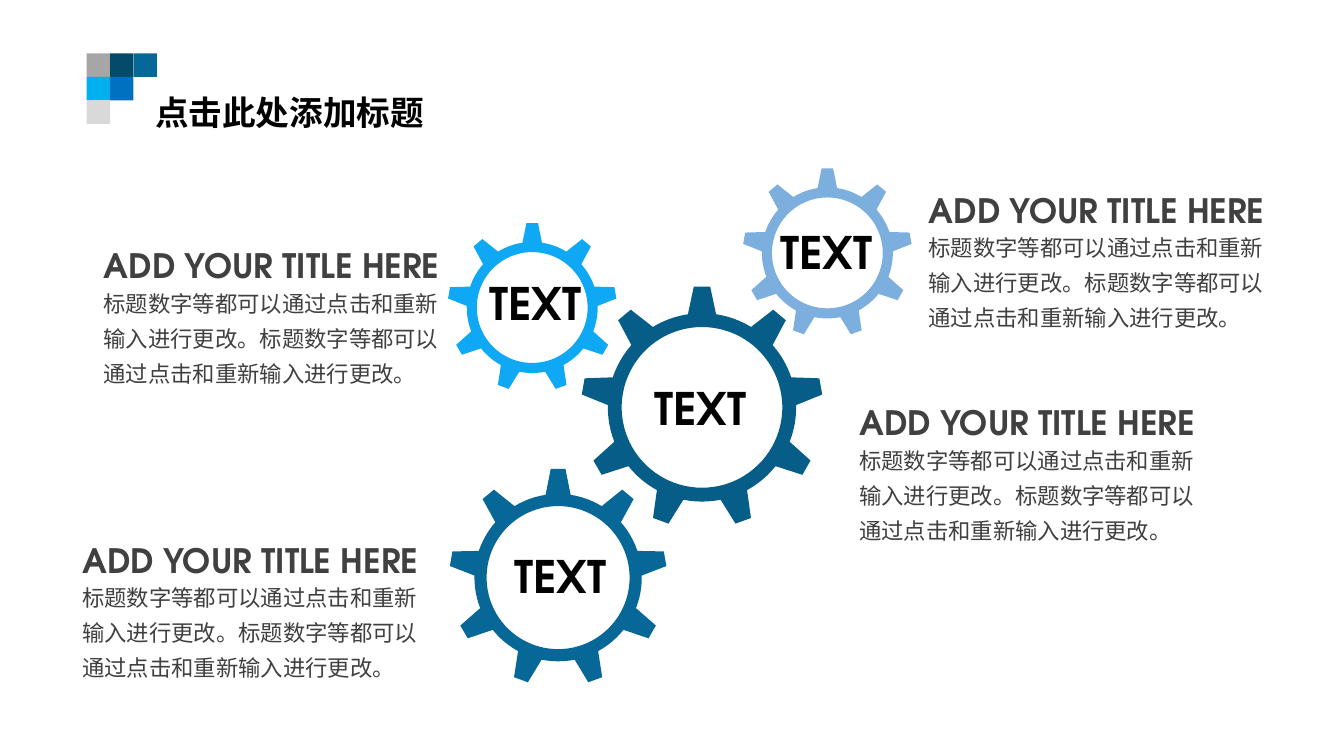
import math
from pptx import Presentation
from pptx import util as u
from pptx.dml.color import RGBColor
from pptx.enum import shapes, text
from pptx.oxml.ns import qn
from lxml import etree

CHINESE, LATIN = "Noto Sans CJK SC", "TeX Gyre Adventor"
TITLE = "点击此处添加标题"
HEADING = "ADD YOUR TITLE HERE"
SENTENCES = "标题数字等都可以通过点击和重新输入进行更改。" * 2
LABEL = "TEXT"
TILES = [("A6A6A6", "05496B", "076797"), ("00B0F0", "0070C0"), ("D9D9D9",)]
TILE_LEFT, TILE_TOP, TILE = 61.9, 38.2, 16.75
GEARS = [
    {"center": (591.3, 180.7), "radii": (60.5, 46.8, 39.6), "color": "7CAFDE", "label": (550.8, 157)},
    {"center": (501.7, 291), "radii": (86.4, 67.3, 57.4), "color": "065D88", "label": (460.8, 268.6)},
    {"center": (380.4, 219.7), "radii": (60.5, 46.8, 39.6), "color": "0FA8F5", "label": (342.7, 193.7)},
    {"center": (398.9, 412.6), "radii": (77.8, 59.8, 51.1), "color": "076797", "label": (360.7, 388.1)},
]
TEETH, TIP_ANGLE, ROOT_ANGLE = 9, 3.9, 8.6
CAPTIONS = [(656.6, 131.8), (607, 283.7), (51.8, 381.8), (67, 171.6)]
CAPTION_GAP = 26.2


def rgb(color):
    """Turn a hex string into a colour."""
    return RGBColor.from_string(color)


def paint(shape, color):
    """Give a shape a flat fill with no line or shadow."""
    shape.fill.solid()
    shape.fill.fore_color.rgb = rgb(color)
    shape.line.fill.background()
    shape.shadow.inherit = False


def write(shape, words, font, size, color, bold=True, wrap=False, spacing=1.0):
    """Fill a shape with one formatted, left-aligned paragraph."""
    frame = shape.text_frame
    frame.text = words
    frame.word_wrap = wrap
    frame.auto_size = text.MSO_AUTO_SIZE.NONE
    frame.vertical_anchor = text.MSO_ANCHOR.TOP
    paragraph = frame.paragraphs[0]
    paragraph.alignment = text.PP_ALIGN.LEFT
    paragraph.line_spacing = spacing
    run = paragraph.runs[0]
    run.font.name = font
    run.font.size = u.Pt(size)
    run.font.bold = bold
    run.font.color.rgb = rgb(color)
    east_asian = etree.SubElement(run.font._element, qn("a:ea"))
    east_asian.set("typeface", font)


def add_text(left, top, width, height, *style, **options):
    """Add a text box and write into it."""
    box = slide.shapes.add_textbox(u.Pt(left), u.Pt(top), u.Pt(width), u.Pt(height))
    write(box, *style, **options)


def polar(center, radius, degrees):
    """Find a point by its clockwise angle from twelve o'clock."""
    angle = math.radians(degrees)
    return (u.Pt(center[0] + radius * math.sin(angle)),
            u.Pt(center[1] - radius * math.cos(angle)))


def add_gear(center, radii, color):
    """Draw a toothed ring around a centre."""
    tip, body, hole = radii
    pitch = 360 / TEETH
    valley = pitch - 2 * ROOT_ANGLE
    outline = []
    for tooth in range(TEETH):
        middle = tooth * pitch
        outline += [polar(center, tip, middle - TIP_ANGLE), polar(center, tip, middle + TIP_ANGLE)]
        outline += [polar(center, body, middle + ROOT_ANGLE + valley * step / 6) for step in range(7)]
    ring = [polar(center, hole, -4 * step) for step in range(90)]
    builder = slide.shapes.build_freeform(*outline[0])
    builder.add_line_segments(outline[1:], close=True)
    builder.move_to(*ring[0])
    builder.add_line_segments(ring[1:], close=True)
    paint(builder.convert_to_shape(), color)


presentation = Presentation()
presentation.slide_width, presentation.slide_height = u.Pt(960.5), u.Pt(540)
slide = presentation.slides.add_slide(presentation.slide_layouts[5])

for row, colors in enumerate(TILES):
    for column, color in enumerate(colors):
        tile = slide.shapes.add_shape(
            shapes.MSO_SHAPE.RECTANGLE, u.Pt(TILE_LEFT + column * TILE),
            u.Pt(TILE_TOP + row * TILE), u.Pt(TILE), u.Pt(TILE))
        paint(tile, color)

title = slide.shapes.title
title.left, title.top, title.width, title.height = map(u.Pt, (103.7, 61.9, 224.6, 36))
write(title, TITLE, CHINESE, 24, "000000")

for gear in GEARS:
    add_gear(gear["center"], gear["radii"], gear["color"])
    add_text(*gear["label"], 90, 46, LABEL, LATIN, 32, "000000")

for left, top in CAPTIONS:
    add_text(left, top, 291.6, 36, HEADING, LATIN, 24, "404040")
    add_text(left, top + CAPTION_GAP, 255.6, 108, SENTENCES, CHINESE, 16, "404040",
             bold=False, wrap=True, spacing=1.3)

presentation.save("out.pptx")
